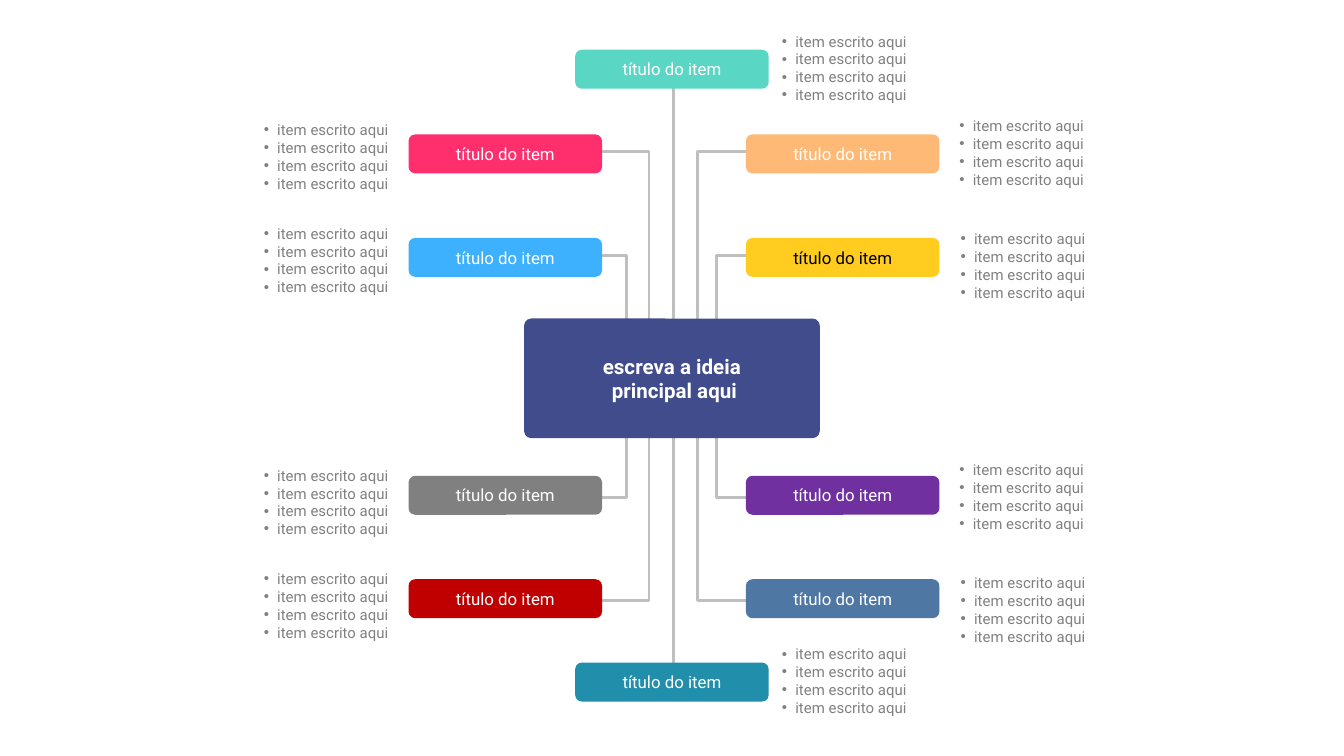
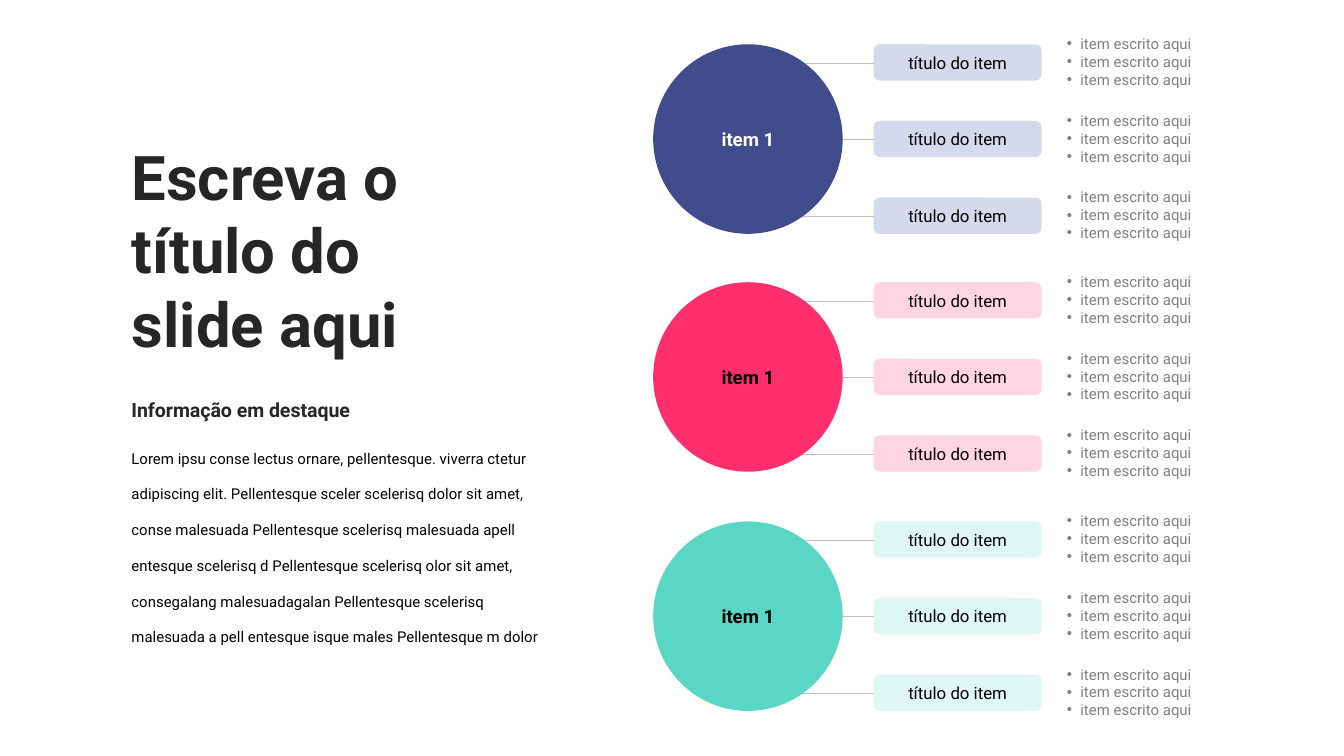
from dataclasses import dataclass

from lxml.etree import SubElement
from pptx import Presentation
from pptx.dml.color import RGBColor
from pptx.enum.shapes import MSO_CONNECTOR, MSO_SHAPE
from pptx.enum.text import MSO_ANCHOR as Anchor, MSO_AUTO_SIZE as AutoSize, PP_ALIGN as Align
from pptx.oxml.ns import qn
from pptx.shapes.autoshape import Shape
from pptx.slide import Slide
from pptx.text.text import TextFrame
from pptx.util import Inches, Pt


@dataclass(frozen=True)
class Theme:
    font: str = "Roboto"
    white: str = "FFFFFF"
    black: str = "000000"
    heading: str = "262626"
    gray: str = "808080"
    line: str = "BFBFBF"
    indigo: str = "414C8C"
    pink: str = "FF2F6E"
    mint: str = "5AD7C4"
    title_size: float = 33
    idea_size: float = 11
    highlight_size: float = 10.5
    circle_size: float = 10
    label_size: float = 9
    small_size: float = 8


THEME = Theme()
LABEL = "título do item"
NOTE = "item escrito aqui"


@dataclass(frozen=True)
class Box:
    left: float
    top: float
    width: float
    height: float

    def lengths(self) -> tuple:
        return tuple(Inches(v) for v in (self.left, self.top, self.width, self.height))


@dataclass(frozen=True)
class Style:
    size: float
    color: str
    bold: bool = False
    align: Align = Align.LEFT
    spacing: float = 1


@dataclass(frozen=True)
class Branch:
    fill: str
    left: float
    top: float
    note_left: float
    note_top: float
    ink: str = THEME.white


@dataclass(frozen=True)
class Elbow:
    lane: float
    end: float
    top: float


@dataclass(frozen=True)
class Group:
    top: float
    fill: str
    tint: str
    ink: str


LEFT, RIGHT, MIDDLE = 3.04, 5.55, 4.28
NOTE_LEFT = 1.85
BRANCHES = (
    Branch(THEME.mint, MIDDLE, 0.37, 5.72, 0.19),
    Branch(THEME.pink, LEFT, 1, NOTE_LEFT, 0.85),
    Branch("FEB976", RIGHT, 1, 7.04, 0.82),
    Branch("3DB1FE", LEFT, 1.77, NOTE_LEFT, 1.62),
    Branch("FFCC1F", RIGHT, 1.77, 7.05, 1.66, THEME.black),
    Branch(THEME.gray, LEFT, 3.54, NOTE_LEFT, 3.42),
    Branch("7030A0", RIGHT, 3.54, 7.04, 3.38),
    Branch("C00000", LEFT, 4.31, NOTE_LEFT, 4.19),
    Branch("4E77A3", RIGHT, 4.31, 7.05, 4.22),
    Branch("218EAB", MIDDLE, 4.93, 5.72, 4.75),
)
ELBOWS = (
    Elbow(4.66, 4.2, 1.9),
    Elbow(5.33, 5.82, 1.9),
    Elbow(4.83, 4.37, 1.13),
    Elbow(5.19, 5.81, 1.13),
)
GROUPS = (
    Group(0.33, THEME.indigo, "D5D9EC", THEME.white),
    Group(2.1, THEME.pink, "FFD5E2", THEME.black),
    Group(3.88, THEME.mint, "DEF7F3", THEME.black),
)


def rgb(color: str) -> RGBColor:
    return RGBColor.from_string(color)


def write(tf: TextFrame, lines: list[str], style: Style, bullets: bool = False) -> None:
    for i, line in enumerate(lines):
        p = tf.add_paragraph() if i else tf.paragraphs[0]
        if bullets:
            pPr = p._p.get_or_add_pPr()
            pPr.set("marL", str(Inches(0.1)))
            pPr.set("indent", str(-Inches(0.1)))
            SubElement(pPr, qn("a:buFont")).set("typeface", "Arial")
            SubElement(pPr, qn("a:buChar")).set("char", "•")
        p.alignment = style.align
        if style.spacing != 1:
            p.line_spacing = style.spacing
        r = p.add_run()
        r.text = line
        r.font.name = THEME.font
        r.font.size = Pt(style.size)
        r.font.bold = style.bold
        r.font.color.rgb = rgb(style.color)


def add_text(slide: Slide, box: Box, lines: list[str], style: Style,
             wrap: bool = True, bullets: bool = False) -> None:
    sp = slide.shapes.add_textbox(*box.lengths())
    tf = sp.text_frame
    tf.word_wrap = wrap
    tf.auto_size = AutoSize.SHAPE_TO_FIT_TEXT
    write(tf, lines, style, bullets)


def add_notes_list(slide: Slide, left: float, top: float, count: int,
                   align: Align = Align.LEFT) -> None:
    """Add the small bulleted list that stands beside a label."""
    box = Box(left, top, 1.14, 0.08 + 0.14 * count)
    style = Style(THEME.small_size, THEME.gray, align=align)
    add_text(slide, box, [NOTE] * count, style, wrap=False, bullets=True)


def add_filled(slide: Slide, kind: MSO_SHAPE, box: Box, fill: str,
               lines: list[str], style: Style) -> Shape:
    sp = slide.shapes.add_shape(kind, *box.lengths())
    sp.shadow.inherit = False
    sp.fill.solid()
    sp.fill.fore_color.rgb = rgb(fill)
    sp.line.fill.background()
    sp.text_frame.word_wrap = True
    sp.text_frame.vertical_anchor = Anchor.MIDDLE
    write(sp.text_frame, lines, style)
    return sp


def add_label(slide: Slide, box: Box, fill: str, ink: str) -> None:
    style = Style(THEME.label_size, ink, align=Align.CENTER)
    sp = add_filled(slide, MSO_SHAPE.ROUNDED_RECTANGLE, box, fill, [LABEL], style)
    sp.adjustments[0] = 0.17


def add_line(slide: Slide, x1: float, y1: float, x2: float, y2: float, width: float) -> None:
    ends = (Inches(v) for v in (x1, y1, x2, y2))
    line = slide.shapes.add_connector(MSO_CONNECTOR.STRAIGHT, *ends)
    line.line.color.rgb = rgb(THEME.line)
    line.line.width = Pt(width)
    SubElement(line._element.spPr, qn("a:effectLst"))


def add_elbow(slide: Slide, lane: float, start: float, turn: float, end: float) -> None:
    """Run vertically along the lane, then turn sideways to the end."""
    builder = slide.shapes.build_freeform(Inches(lane), Inches(start))
    builder.add_line_segments(
        [(Inches(lane), Inches(turn)), (Inches(end), Inches(turn))], close=False)
    sp = builder.convert_to_shape()
    sp.shadow.inherit = False
    sp.fill.background()
    sp.line.color.rgb = rgb(THEME.line)
    sp.line.width = Pt(1.5)


def build_mind_map(prs: Presentation) -> None:
    slide = prs.slides.add_slide(prs.slide_layouts[6])

    def upper(y: float) -> float:
        return y

    def lower(y: float) -> float:
        return 5.6 - y

    for place in (lower, upper):
        for elbow in ELBOWS:
            add_elbow(slide, elbow.lane, place(2.44), place(elbow.top), elbow.end)
        add_line(slide, 5.01, place(2.62), 5.01, place(0.63), 1.5)

    idea = add_filled(slide, MSO_SHAPE.ROUNDED_RECTANGLE, Box(3.9, 2.37, 2.2, 0.89),
                      THEME.indigo, ["escreva a ideia", " principal aqui"],
                      Style(THEME.idea_size, THEME.white, True, Align.CENTER))
    idea.adjustments[0] = 0.06

    for branch in BRANCHES:
        add_label(slide, Box(branch.left, branch.top, 1.44, 0.29), branch.fill, branch.ink)
        align = Align.RIGHT if branch.left == LEFT else Align.LEFT
        add_notes_list(slide, branch.note_left, branch.note_top, 4, align)


def add_group(slide: Slide, group: Group) -> None:
    """Add a circle with its three linked labels and lists."""
    tops = [group.top + 0.57 * i for i in range(3)]
    for top in tops:
        add_line(slide, 5.72, top + 0.14, 6.61, top + 0.14, 0.5)
    circle = add_filled(slide, MSO_SHAPE.OVAL, Box(4.86, group.top, 1.41, 1.41), group.fill,
                        ["item 1"],
                        Style(THEME.circle_size, group.ink, True, Align.CENTER))
    tf = circle.text_frame
    tf.margin_left = tf.margin_right = tf.margin_top = tf.margin_bottom = 0
    for top in tops:
        add_label(slide, Box(6.5, top, 1.25, 0.27), group.tint, THEME.black)
        add_notes_list(slide, 7.84, top - 0.12, 3)


def build_groups(prs: Presentation) -> None:
    slide = prs.slides.add_slide(prs.slide_layouts[5])
    title = slide.shapes.title
    title.left, title.top, title.width, title.height = Box(0.88, 0.98, 2.97, 1.77).lengths()
    tf = title.text_frame
    tf.word_wrap = True
    tf.auto_size = AutoSize.NONE
    tf.vertical_anchor = Anchor.TOP
    write(tf, ["Escreva o título do slide aqui"],
          Style(THEME.title_size, THEME.heading, True))

    for group in GROUPS:
        add_group(slide, group)

    add_text(slide, Box(0.88, 2.91, 2.86, 0.28), ["Informação em destaque"],
             Style(THEME.highlight_size, THEME.heading, True))
    body = (
        "Lorem ipsu conse lectus ornare, pellentesque. viverra ctetur adipiscing elit. "
        "Pellentesque sceler scelerisq dolor sit amet, conse malesuada Pellentesque "
        "scelerisq malesuada apell entesque scelerisq d Pellentesque scelerisq olor sit "
        "amet, consegalang malesuadagalan Pellentesque scelerisq malesuada a pell "
        "entesque isque males Pellentesque m dolor"
    )
    add_text(slide, Box(0.88, 3.16, 3.24, 1.68), [body],
             Style(THEME.small_size, THEME.black, spacing=2))


def main() -> None:
    prs = Presentation()
    prs.slide_width = Inches(10)
    prs.slide_height = prs.slide_width * 9 // 16
    build_mind_map(prs)
    build_groups(prs)
    prs.save("out.pptx")


if __name__ == "__main__":
    main()
